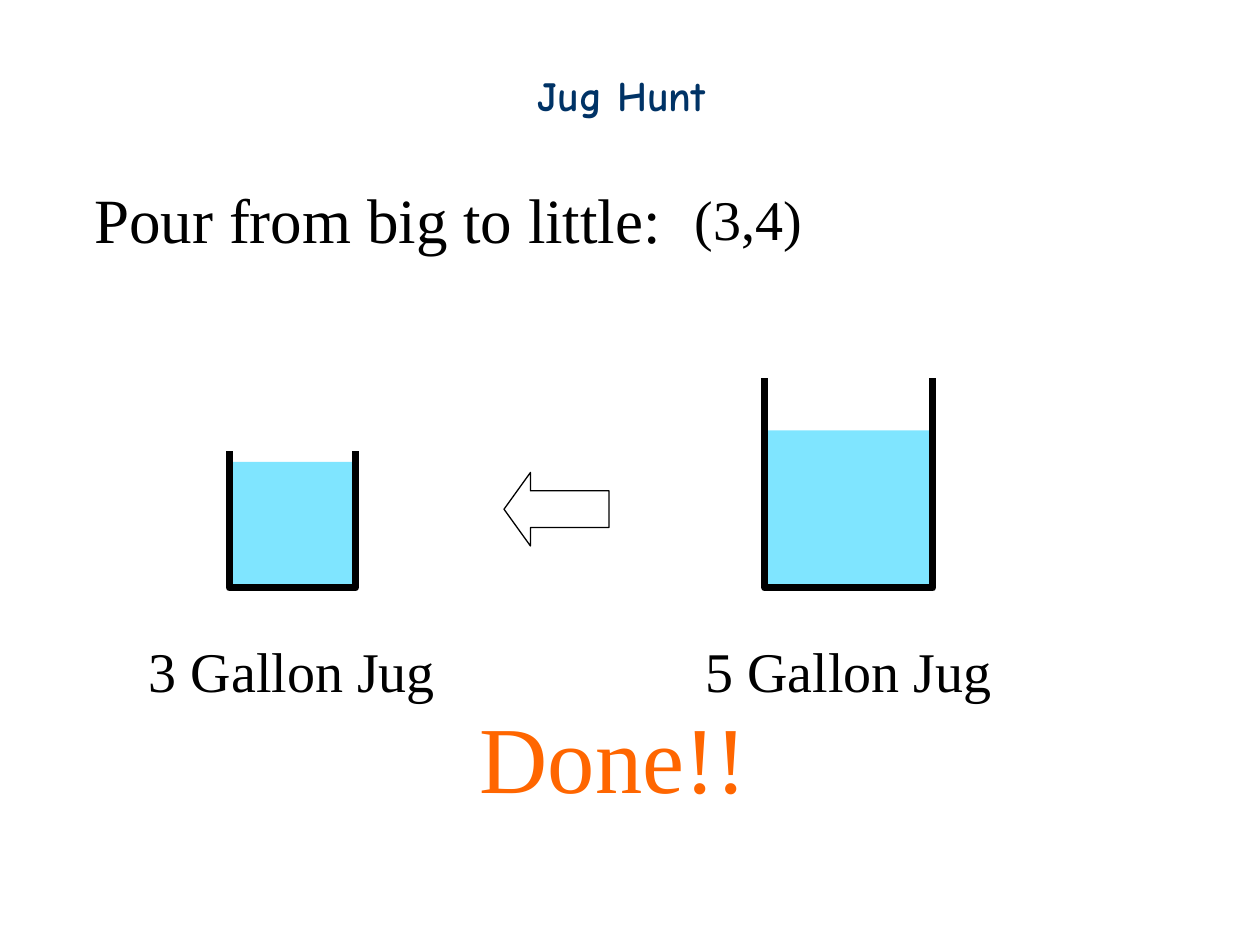
from lxml.etree import SubElement
from pptx import Presentation
from pptx.dml.color import RGBColor
from pptx.enum.shapes import MSO_SHAPE
from pptx.enum.text import MSO_ANCHOR, MSO_AUTO_SIZE, PP_ALIGN
from pptx.oxml.ns import qn
from pptx.util import Inches, Pt

UNIT = Inches(1) // 12  # the slide is a grid of 120 columns by 90 rows
SERIF = "Times New Roman"
BLACK, NAVY, ORANGE, WATER = "000000", "003366", "FF6600", "00CCFF"


def grid(*lengths):
    return [round(n * UNIT) for n in lengths]


def color(hex_code):
    return RGBColor.from_string(hex_code)


def set_text(sp, text, size, font=SERIF, hex_code=BLACK, bold=False, wrap=False):
    tf = sp.text_frame
    tf.text = text
    tf.word_wrap = wrap
    tf.auto_size = MSO_AUTO_SIZE.SHAPE_TO_FIT_TEXT
    tf.vertical_anchor = MSO_ANCHOR.TOP
    p = tf.paragraphs[0]
    p.alignment = PP_ALIGN.LEFT
    f = p.runs[0].font
    f.name, f.size, f.bold = font, Pt(size), bold
    f.color.rgb = color(hex_code)


def add_title(s, text, box):
    sp = s.shapes.title
    sp.left, sp.top, sp.width, sp.height = grid(*box)
    set_text(sp, text, 24, "Comic Neue", NAVY, bold=True)


def add_label(s, text, box, size=32, **style):
    set_text(s.shapes.add_textbox(*grid(*box)), text, size, **style)


def outline(sp, width):
    sp.shadow.inherit = False
    sp.fill.background()
    sp.line.color.rgb = color(BLACK)
    sp.line.width = Pt(width)


def add_jug(s, box, level):
    """Draw an open jug filled with water up to level rows."""
    x, y, w, h = box
    water = s.shapes.add_shape(MSO_SHAPE.RECTANGLE, *grid(x, y + h - level, w, level))
    water.shadow.inherit = False
    water.fill.solid()
    water.fill.fore_color.rgb = color(WATER)
    water.line.fill.background()
    srgb = water._element.spPr.find(".//" + qn("a:srgbClr"))
    SubElement(srgb, qn("a:alpha")).set("val", "50000")

    walls = s.shapes.build_freeform(*grid(x, y))
    walls.add_line_segments(
        [grid(x, y + h), grid(x + w, y + h), grid(x + w, y)], close=False)
    outline(walls.convert_to_shape(), 4)


def add_arrow(s, box):
    sp = s.shapes.add_shape(MSO_SHAPE.LEFT_ARROW, *grid(*box))
    sp.adjustments[0], sp.adjustments[1] = 0.5, 0.36
    outline(sp, 0.75)


def main():
    prs = Presentation()
    prs.slide_width, prs.slide_height = grid(120, 90)
    s = prs.slides.add_slide(prs.slide_layouts[5])

    add_title(s, "Jug Hunt", (50, 6, 20, 6))
    add_label(s, "Pour from big to little:", (7.8, 16.6, 56.6, 8.4), size=36)
    add_label(s, "(3,4)", (65, 17, 12.6, 7.6))

    jugs = [("3 Gallon Jug", 13, (21.84, 43, 12, 13), 12),
            ("5 Gallon Jug", 66, (72.84, 36, 16, 20), 15)]
    for name, label_x, box, level in jugs:
        add_jug(s, box, level)
        add_label(s, name, (label_x, 60, 30, 7.6))

    add_arrow(s, (48, 45, 10, 7))
    add_label(s, "Done!!", (44.5, 66, 31, 12), size=54, hex_code=ORANGE, wrap=True)
    prs.save("out.pptx")


if __name__ == "__main__":
    main()
